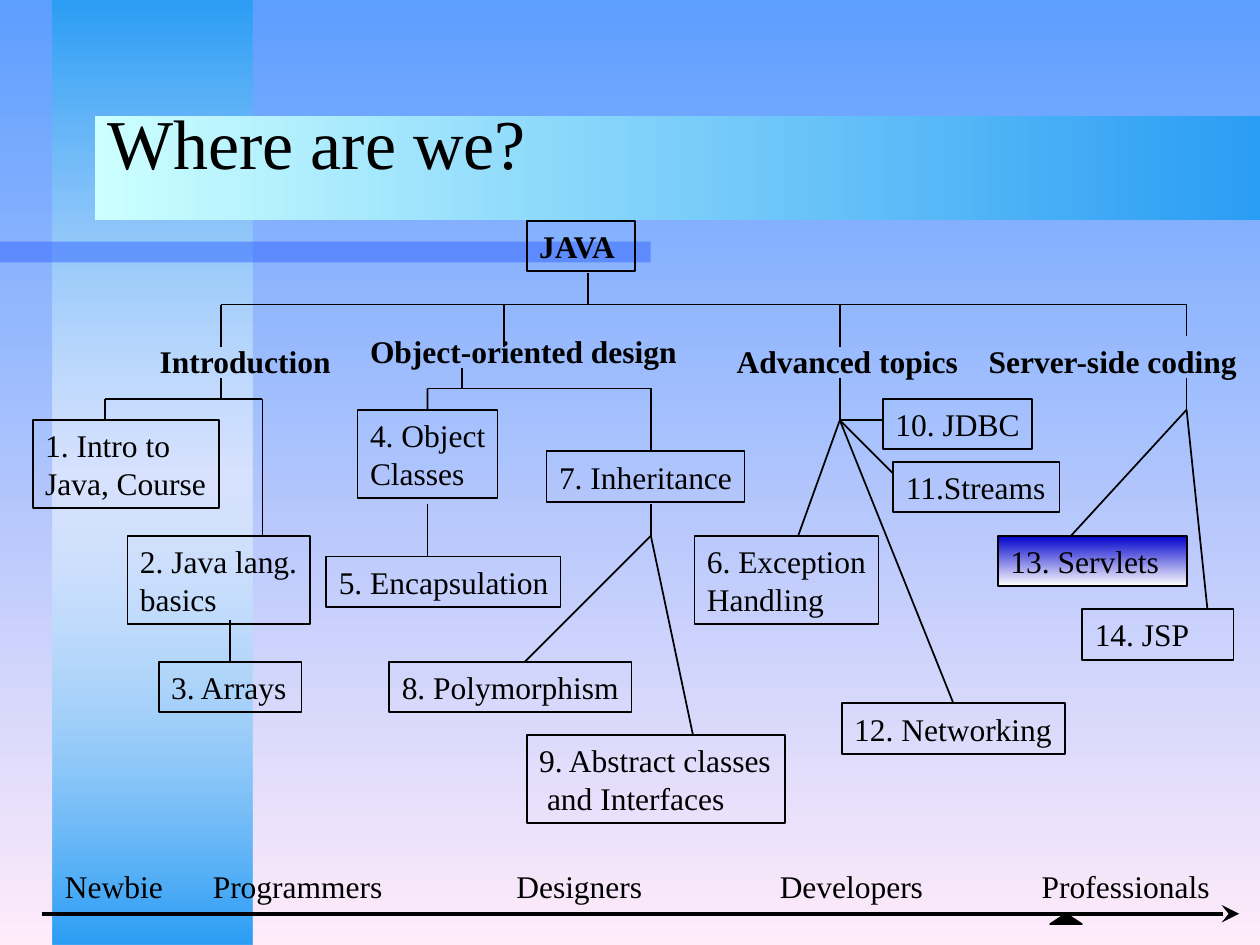
import copy
from dataclasses import dataclass
from typing import Any, Optional

import lxml.etree
import pptx
import pptx.dml.color
import pptx.enum.shapes
import pptx.enum.text
import pptx.oxml.ns
import pptx.util

Cm, Pt = pptx.util.Cm, pptx.util.Pt
Shapes = pptx.enum.shapes.MSO_SHAPE
qn = pptx.oxml.ns.qn
TOP = 0  # connection site


@dataclass(frozen=True)
class Theme:
    font: str = "Times New Roman"
    title_size: int = 40
    text_size: int = 18
    thin: float = 1
    thick: float = 2
    ink: str = "000000"
    sky: str = "5E9EFF"
    blush: str = "FFEBFA"
    azure: str = "2A9DF4"
    ice: str = "CCFFFF"
    accent: str = "3366FF"
    navy: str = "0000CC"
    white: str = "FFFFFF"


@dataclass(frozen=True)
class Stop:
    position: float
    color: str
    opacity: Optional[int] = None


@dataclass(frozen=True)
class Label:
    text: str
    left: float
    top: float
    width: float
    framed: bool = True
    bold: bool = False

    @property
    def height(self) -> float:
        return 1.02 + 0.76 * self.text.count("\n")


@dataclass(frozen=True)
class Link:
    x1: float
    y1: float
    x2: float
    y2: float
    joins: str = ""  # text of the box whose top the line meets


THEME = Theme()

JAVA = Label("JAVA", 10.62, 4.45, 2.18, bold=True)
TOPICS = [
    Label("1. Intro to\nJava, Course", 0.66, 8.47, 3.76),
    Label("2. Java lang.\nbasics", 2.57, 10.8, 3.68),
    Label("3. Arrays", 3.2, 13.34, 2.88),
    Label("4. Object\nClasses", 7.21, 8.26, 2.82),
    Label("5. Encapsulation", 6.58, 11.22, 4.72),
    Label("6. Exception\nHandling", 14, 10.8, 3.71),
    Label("7. Inheritance", 11.02, 9.1, 3.99),
    Label("8. Polymorphism", 7.85, 13.34, 4.88),
    Label("9. Abstract classes\n and Interfaces", 10.62, 14.82, 5.21),
    Label("10. JDBC", 17.8, 8.04, 3),
    Label("11.Streams", 18.01, 9.31, 3.35),
    Label("12. Networking", 16.97, 14.18, 4.5),
    Label("13. Servlets", 20.12, 10.8, 3.81),
    Label("14. JSP", 21.82, 12.28, 3.05),
]
HEADINGS = [
    Label(text, left, top, width, framed=False, bold=True)
    for text, left, top, width in [
        ("Introduction", 2.97, 6.77, 3.96),
        ("Object-oriented design", 7.21, 6.56, 6.68),
        ("Advanced topics", 14.6, 6.77, 4.95),
        ("Server-side coding", 19.68, 6.77, 5.54),
    ]
]
AUDIENCES = [
    Label(text, left, 17.36, width, framed=False)
    for text, left, width in [
        ("Newbie", 1.06, 2.49), ("Programmers", 4.04, 3.91),
        ("Designers", 10.16, 3.05), ("Developers", 15.47, 3.4),
        ("Professionals", 20.75, 3.89),
    ]
]
LINKS = [
    # Root and its branches
    Link(11.85, 5.5, 11.85, 6.14),
    Link(4.45, 6.14, 23.92, 6.14),
    *(Link(x, 6.14, x, y) for x, y in
      [(4.45, 6.99), (10.16, 6.99), (16.93, 6.99), (23.92, 6.77)]),
    # Introduction
    Link(4.45, 7.62, 4.45, 8.04),
    Link(2.12, 8.04, 5.29, 8.04),
    Link(2.12, 8.04, 2.12, 8.47),
    Link(5.29, 8.04, 5.29, 10.8),
    Link(4.64, 12.49, 4.64, 13.34, "3. Arrays"),
    # Object-oriented design
    Link(9.31, 7.41, 9.31, 7.83),
    Link(8.62, 7.83, 13.12, 7.83),
    Link(8.62, 7.83, 8.62, 8.26, "4. Object\nClasses"),
    Link(8.62, 10.16, 8.62, 11.22),
    Link(13.12, 7.83, 13.12, 9.1),
    Link(13.12, 10.16, 13.12, 10.8),
    *(Link(13.12, 10.8, x, y) for x, y in [(10.58, 13.34), (13.97, 14.82)]),
    # Advanced topics
    Link(16.93, 7.62, 16.93, 8.47),
    *(Link(16.93, 8.47, x, y) for x, y in
      [(16.09, 10.8), (17.78, 8.47), (17.99, 9.53)]),
    Link(16.93, 8.47, 19.22, 14.18, "12. Networking"),
    # Server-side coding
    Link(23.92, 7.62, 23.92, 8.26),
    *(Link(23.92, 8.26, x, y) for x, y in [(21.59, 10.8), (24.34, 12.28)]),
]


def rgb(color: str) -> pptx.dml.color.RGBColor:
    return pptx.dml.color.RGBColor.from_string(color)


def apply_format(target: Any, values: dict[str, Any]) -> None:
    for name, value in values.items():
        setattr(target, name, value)


def set_opacity(color_element: Any, percent: int) -> None:
    alpha = lxml.etree.SubElement(color_element, qn("a:alpha"))
    alpha.set("val", str(percent * 1000))


def paint_gradient(fill: Any, owner: Any, stops: list[Stop], angle: int) -> None:
    fill.gradient()
    fill.gradient_angle = angle
    stop_list = owner.find(".//" + qn("a:gsLst"))
    while len(stop_list) < len(stops):
        stop_list.append(copy.deepcopy(stop_list[0]))
    for target, element, stop in zip(fill.gradient_stops, stop_list, stops):
        target.position = stop.position
        target.color.rgb = rgb(stop.color)
        if stop.opacity is not None:
            set_opacity(element[0], stop.opacity)


def add_plain_shape(slide: Any, kind: Any, left: float, top: float,
                    width: float, height: float) -> Any:
    shape = slide.shapes.add_shape(kind, Cm(left), Cm(top), Cm(width), Cm(height))
    shape.shadow.inherit = False
    shape.line.fill.background()
    return shape


def write_text(shape: Any, text: str, size: int, bold: bool, frame_format: dict[str, Any]) -> None:
    frame = shape.text_frame
    frame.text = text
    apply_format(frame, {"word_wrap": True, **frame_format})
    for paragraph in frame.paragraphs:
        paragraph.alignment = pptx.enum.text.PP_ALIGN.LEFT
        apply_format(paragraph.font, {"name": THEME.font, "size": Pt(size), "bold": bold})
        paragraph.font.color.rgb = rgb(THEME.ink)


def add_label(slide: Any, label: Label) -> Any:
    place = (label.left, label.top, label.width, label.height)
    if label.framed:
        shape = add_plain_shape(slide, Shapes.RECTANGLE, *place)
        shape.fill.background()
        shape.line.color.rgb = rgb(THEME.ink)
        shape.line.width = Pt(THEME.thin)
    else:
        shape = slide.shapes.add_textbox(*map(Cm, place))
    # No right margin, so that text in a snug box keeps to its line
    write_text(shape, label.text, THEME.text_size, label.bold, {
        "margin_right": Cm(0),
        "vertical_anchor": pptx.enum.text.MSO_ANCHOR.TOP,
        "auto_size": pptx.enum.text.MSO_AUTO_SIZE.NONE,
    })
    return shape


def add_link(slide: Any, link: Link, width: float, boxes: dict[str, Any]) -> Any:
    connector = slide.shapes.add_connector(
        pptx.enum.shapes.MSO_CONNECTOR.STRAIGHT,
        *map(Cm, (link.x1, link.y1, link.x2, link.y2)))
    connector.line.color.rgb = rgb(THEME.ink)
    connector.line.width = Pt(width)
    lxml.etree.SubElement(connector._element.spPr, qn("a:effectLst"))
    if link.joins:
        connector.end_connect(boxes[link.joins], TOP)
    return connector


def add_backdrop(slide: Any) -> None:
    paint_gradient(slide.background.fill, slide._element,
                   [Stop(0, THEME.sky), Stop(1, THEME.blush)], 270)
    column = add_plain_shape(slide, Shapes.RECTANGLE, 1.06, 0, 4.02, 19.05)
    paint_gradient(column.fill, column._element,
                   [Stop(0, THEME.azure), Stop(0.5, THEME.white, 50), Stop(1, THEME.azure)], 270)
    banner = add_plain_shape(slide, Shapes.RECTANGLE, 1.91, 2.33, 23.49, 2.11)
    paint_gradient(banner.fill, banner._element,
                   [Stop(0, THEME.ice), Stop(1, THEME.azure)], 0)
    stripe = add_plain_shape(slide, Shapes.RECTANGLE, 0, 4.87, 13.12, 0.42)
    stripe.fill.solid()
    stripe.fill.fore_color.rgb = rgb(THEME.accent)
    set_opacity(stripe._element.spPr.find(".//" + qn("a:srgbClr")), 50)


def main() -> None:
    presentation = pptx.Presentation()
    apply_format(presentation, {"slide_width": Cm(25.4), "slide_height": Cm(19.05)})
    slide = presentation.slides.add_slide(presentation.slide_layouts[6])
    add_backdrop(slide)

    # Title
    title = slide.shapes.add_textbox(Cm(1.91), Cm(1.27), Cm(21.59), Cm(3.18))
    write_text(title, "Where are we?", THEME.title_size, False,
               {"vertical_anchor": pptx.enum.text.MSO_ANCHOR.MIDDLE})

    # Course tree
    boxes = {label.text: add_label(slide, label)
             for label in [JAVA, *TOPICS, *HEADINGS, *AUDIENCES]}
    current = boxes["13. Servlets"]
    paint_gradient(current.fill, current._element,
                   [Stop(0, THEME.navy), Stop(1, THEME.white)], 270)
    for link in LINKS:
        add_link(slide, link, THEME.thin, boxes)

    # Experience axis with its position marker
    axis = add_link(slide, Link(0.84, 18.42, 24.98, 18.42), THEME.thick, boxes)
    lxml.etree.SubElement(axis.line._get_or_add_ln(), qn("a:tailEnd"),
                          {"type": "stealth", "w": "lg", "len": "lg"})
    marker = add_plain_shape(slide, Shapes.ISOSCELES_TRIANGLE, 21.17, 18.42, 0.64, 0.21)
    marker.fill.solid()
    for color in (marker.fill.fore_color, marker.line.color):
        color.rgb = rgb(THEME.ink)
    marker.line.width = Pt(THEME.thin)
    presentation.save("out.pptx")


if __name__ == "__main__":
    main()
